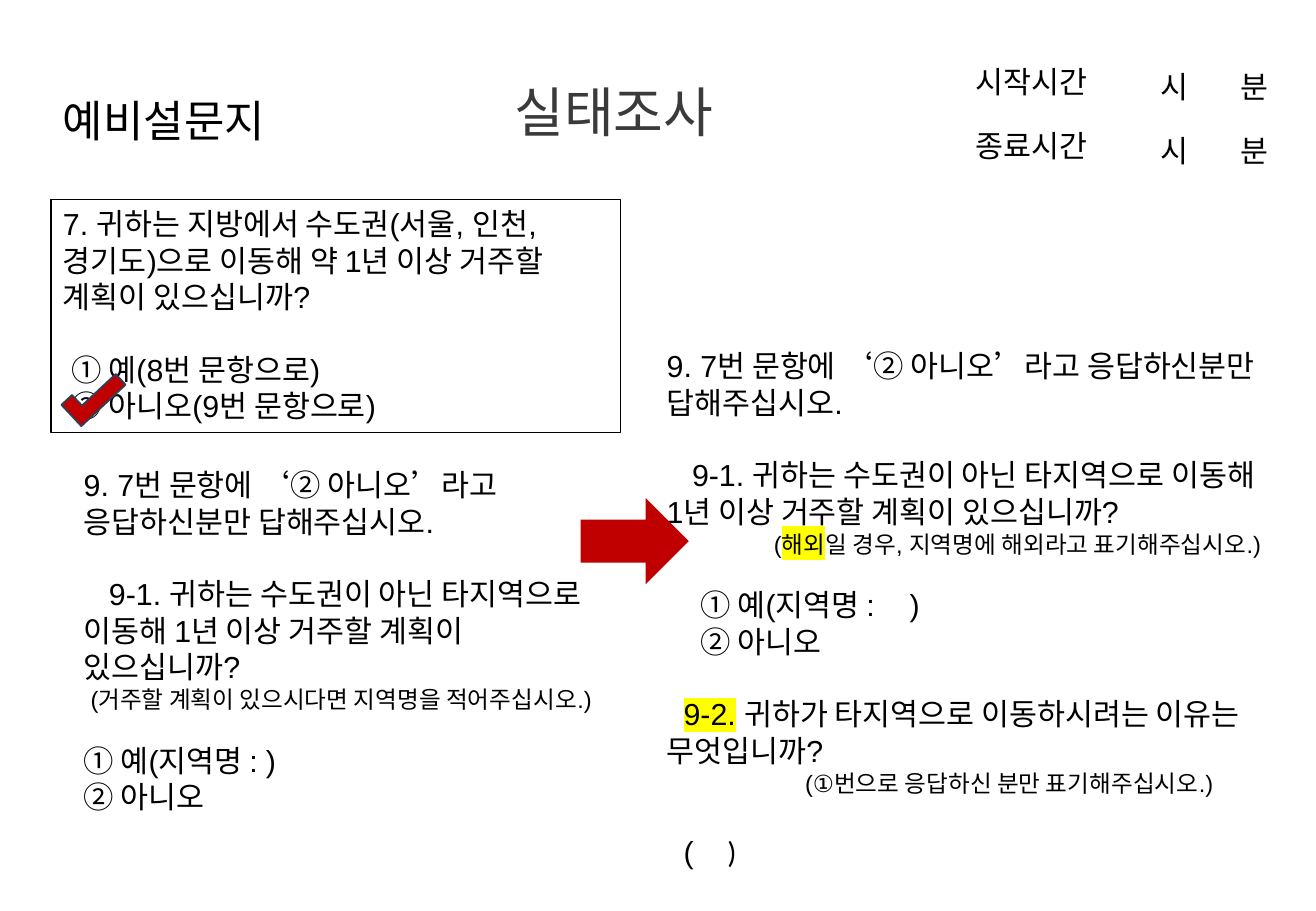
from dataclasses import dataclass

import pptx
import pptx.dml.color
import pptx.enum.shapes
import pptx.enum.text
import pptx.oxml.ns
import pptx.util
from lxml import etree
from pptx.oxml.ns import qn

Pt = pptx.util.Pt
SHAPES = pptx.enum.shapes.MSO_SHAPE
ALIGN = pptx.enum.text.PP_ALIGN

COLORS = {"text": "000000", "title": "3A3A3A", "red": "C00000",
          "check_line": "28445D", "highlight": "FFFF00"}
LINE_FACTOR = 1.2
BODY, NOTE = 18, 14
BODY_GAP, NOTE_GAP = BODY * LINE_FACTOR, NOTE * LINE_FACTOR


@dataclass(frozen=True)
class Run:
    text: str
    highlighted: bool = False
    font: str | None = None


@dataclass(frozen=True)
class Line:
    runs: tuple[Run, ...]
    size: float = BODY
    indent: float = 0
    before: float = 0
    align: ALIGN = ALIGN.LEFT
    tabs: tuple[float, ...] = ()
    font: str = "Arial"
    color: str = "text"
    exact: bool = True


@dataclass(frozen=True)
class Block:
    left: float
    top: float
    width: float
    height: float
    lines: tuple[Line, ...]
    framed: bool = False
    right_inset: float = 7.2


def line(text: str, **options) -> Line:
    return Line((Run(text),), **options)


def rgb(name: str) -> pptx.dml.color.RGBColor:
    return pptx.dml.color.RGBColor.from_string(COLORS[name])


def write_line(paragraph, content: Line) -> None:
    paragraph.alignment = content.align
    paragraph.space_before = Pt(content.before)
    if content.exact:
        paragraph.line_spacing = Pt(content.size * LINE_FACTOR)
    paragraph.font.size = Pt(content.size)
    paragraph.font.name = content.font
    paragraph.font.color.rgb = rgb(content.color)
    properties = paragraph._p.get_or_add_pPr()
    properties.set("marL", "0")
    properties.set("indent", str(Pt(content.indent)))
    if content.tabs:
        tab_list = etree.Element(qn("a:tabLst"))
        for position in content.tabs:
            etree.SubElement(tab_list, qn("a:tab"), pos=str(Pt(position)), algn="l")
        properties.find(qn("a:defRPr")).addprevious(tab_list)
    for part in content.runs:
        run = paragraph.add_run()
        run.text = part.text
        if part.highlighted:
            highlight = etree.SubElement(run._r.get_or_add_rPr(), qn("a:highlight"))
            etree.SubElement(highlight, qn("a:srgbClr"), val=COLORS["highlight"])
        if part.font:
            run.font.name = part.font


def draw_block(slide, block: Block) -> None:
    place = [Pt(value) for value in (block.left, block.top, block.width, block.height)]
    if block.framed:
        shape = slide.shapes.add_shape(SHAPES.RECTANGLE, *place)
        shape.shadow.inherit = False
        shape.fill.background()
        shape.line.color.rgb = rgb("text")
        shape.line.width = Pt(0.75)
    else:
        shape = slide.shapes.add_textbox(*place)
    frame = shape.text_frame
    frame.word_wrap = True
    frame.vertical_anchor = pptx.enum.text.MSO_ANCHOR.TOP
    frame.margin_right = Pt(block.right_inset)
    for index, content in enumerate(block.lines):
        write_line(frame.add_paragraph() if index else frame.paragraphs[0], content)


def draw_mark(slide, kind: SHAPES, left: float, top: float, width: float, height: float):
    shape = slide.shapes.add_shape(kind, Pt(left), Pt(top), Pt(width), Pt(height))
    shape.shadow.inherit = False
    shape.fill.solid()
    shape.fill.fore_color.rgb = rgb("red")
    shape.line.fill.background()
    return shape


def follow_up(note: Line, indent: float, close: float) -> tuple[Line, ...]:
    """Question 9 up to its two answers; close is where the bracket ends."""
    return (
        line("9. 7번 문항에 ‘② 아니오’라고 응답하신분만 답해주십시오."),
        line("9-1. 귀하는 수도권이 아닌 타지역으로 이동해 1년 이상 거주할 계획이 있으십니까?",
             indent=15, before=BODY_GAP),
        note,
        line("① 예(지역명 :\t)", indent=indent, before=NOTE_GAP, tabs=(close,)),
        line("② 아니오", indent=indent),
    )


# Headings
HEADINGS = (
    Block(30.24, 51.84, 151.92, 60.48,
          (line("예비설문지", size=26, font="Noto Sans CJK KR", exact=False),)),
    Block(192.96, 43.2, 357.84, 46.08,
          (line("실태조사", size=32, font="Noto Sans CJK KR", color="title",
                align=ALIGN.CENTER, exact=False),), right_inset=22.8),
)

# Start and end time
TIMES = tuple(
    Block(left, top + row * 38.16, width, 28.8, (content,))
    for row, label in enumerate(("시작시간", "종료시간"))
    for left, top, width, content in (
        (570.96, 33.84, 92.16, line(label, font="Calibri")),
        (655.92, 36.72, 111.6, line("시\t분", font="Calibri", indent=25, tabs=(77,))),
    )
)

# Questions
QUESTION_7 = Block(30.24, 118.08, 337.68, 138.24, (
    line("7. 귀하는 지방에서 수도권(서울, 인천, 경기도)으로 이동해 약 1년 이상 거주할 계획이 있으십니까?"),
    line("① 예(8번 문항으로)", indent=5, before=BODY_GAP),
    line("② 아니오(9번 문항으로)", indent=5),
), framed=True)

QUESTION_9_BEFORE = Block(42.48, 272.88, 315.36, 276.48, follow_up(
    line("(거주할 계획이 있으시다면 지역명을 적어주십시오.)", size=NOTE, align=ALIGN.RIGHT),
    indent=0, close=198))

QUESTION_9_AFTER = Block(388.08, 202.32, 366.48, 324.72, follow_up(
    Line((Run("("), Run("해외", True), Run("일 경우, 지역명에 해외라고 표기해주십시오.)")),
         size=NOTE, align=ALIGN.RIGHT),
    indent=20, close=218) + (
    Line((Run("9-2.", True), Run(" 귀하가 타지역으로 이동하시려는 이유는 무엇입니까?")),
         indent=10, before=BODY_GAP),
    line("(①번으로 응답하신 분만 표기해주십시오.)", size=NOTE, indent=82),
    Line((Run("(\t"), Run(")", font="Calibri")), indent=10, before=BODY_GAP, tabs=(320,)),
))


def main() -> None:
    presentation = pptx.Presentation()
    presentation.slide_width, presentation.slide_height = Pt(780), Pt(540)
    slide = presentation.slides.add_slide(presentation.slide_layouts[6])

    for block in (QUESTION_9_AFTER, *HEADINGS, *TIMES, QUESTION_9_BEFORE):
        draw_block(slide, block)
    draw_mark(slide, SHAPES.RIGHT_ARROW, 344.16, 295.2, 64.08, 51.12)
    draw_block(slide, QUESTION_7)

    # Check mark on answer 2
    check = draw_mark(slide, SHAPES.CORNER, 37.44, 225.36, 36, 17.28)
    check.rotation = 316.9
    check.line.color.rgb = rgb("check_line")
    check.line.width = Pt(1)

    presentation.save("out.pptx")


if __name__ == "__main__":
    main()
